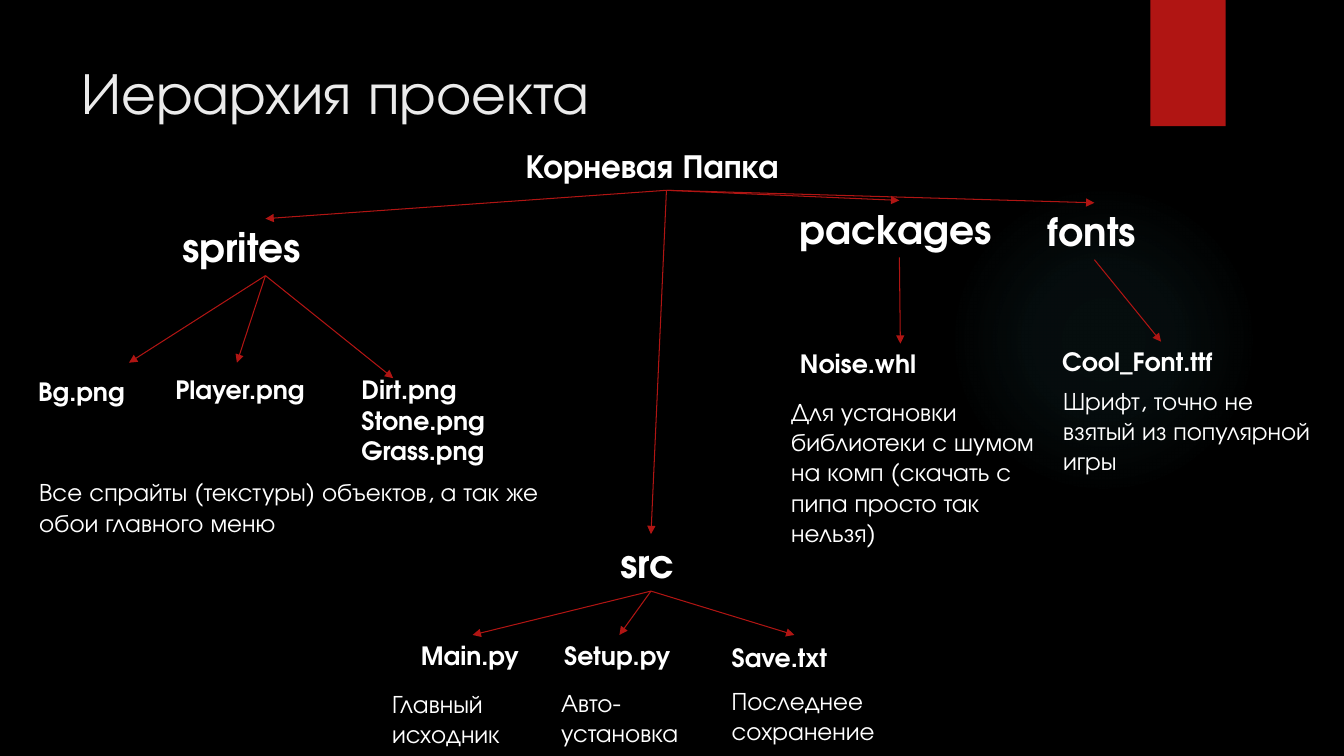
import pptx
import pptx.util
import pptx.dml.color
import pptx.enum.shapes
import pptx.enum.text
import pptx.oxml
import pptx.oxml.ns
from dataclasses import dataclass
from pptx.util import Cm

TITLE = ("Иерархия проекта", 1.8, 1.27, 26.14, 3.89)
ROOT = ("Корневая Папка", 13.0, 3.53, 7.59)

FOLDERS = [
    ("sprites", 4.34, 5.51, 4.7, [
        (["Bg.png"], 0.71, 9.35, 3.45, (3.25, 9.14)),
        (["Player.png"], 4.17, 9.32, 4.7, (5.97, 9.14)),
        (["Dirt.png", "Stone.png", "Grass.png"], 8.86, 9.32, 5.84, (9.91, 9.53)),
    ]),
    ("packages", 19.91, 5.05, 5.51, [(["Noise.whl"], 19.91, 8.66, 5.51, (22.69, 8.66))]),
    ("fonts", 26.16, 5.11, 2.84, [(["Cool_Font.ttf"], 26.52, 8.61, 5.51, (29.26, 8.61))]),
    ("src", 15.39, 13.46, 2.03, [
        (["Main.py"], 10.36, 16.0, 3.1, None),
        (["Setup.py"], 13.97, 16.0, 3.28, None),
        (["Save.txt"], 18.19, 16.05, 3.07, (20.02, 16.0)),
    ]),
]

NOTES = [
    ("Все спрайты (текстуры) объектов, а так же обои главного меню", 0.74, 11.89, 13.23, 2),
    ("Для установки библиотеки с шумом на комп (скачать с пипа просто так нельзя)",
     19.69, 9.86, 7.14, 5),
    ("Шрифт, точно не взятый из популярной игры", 26.54, 9.58, 7.14, 3),
    ("Главный исходник", 9.63, 17.22, 3.86, 2),
    ("Авто-установка", 13.89, 17.2, 4.22, 2),
    ("Последнее сохранение", 18.19, 17.15, 5.38, 2),
]


@dataclass(frozen=True)
class Theme:
    font: str = "TeX Gyre Adventor"
    background: str = "000000"
    accent: str = "B01513"
    glow: str = "50B9C1"
    heading: str = "EBEBEB"
    text: str = "FFFFFF"
    title_size: int = 42
    root_size: int = 24
    folder_size: int = 28
    file_size: int = 18
    line_width: float = 0.75


theme = Theme()


def color(value):
    return pptx.dml.color.RGBColor.from_string(value)


def apply(target, values):
    for name, value in values.items():
        setattr(target, name, value)


def height_of(size, lines=1):
    return 0.25 + lines * size * 1.2 * 2.54 / 72


def add_text(lines, left, top, width, height, size, bold=False, ink=theme.text, grow=True):
    box = slide.shapes.add_textbox(Cm(left), Cm(top), Cm(width), Cm(height))
    fit = pptx.enum.text.MSO_AUTO_SIZE
    apply(box.text_frame, {
        "word_wrap": True,
        "auto_size": fit.SHAPE_TO_FIT_TEXT if grow else fit.NONE,
        "vertical_anchor": pptx.enum.text.MSO_ANCHOR.TOP,
    })
    for index, line in enumerate(lines):
        para = box.text_frame.add_paragraph() if index else box.text_frame.paragraphs[0]
        span = para.add_run()
        span.text = line
        apply(span.font, {"name": theme.font, "size": pptx.util.Pt(size), "bold": bold})
        span.font.color.rgb = color(ink)


def add_arrow(start, end):
    arrow = slide.shapes.add_connector(
        pptx.enum.shapes.MSO_CONNECTOR.STRAIGHT, *[Cm(value) for value in (*start, *end)])
    arrow.line.color.rgb = color(theme.accent)
    arrow.line.width = pptx.util.Pt(theme.line_width)
    head = pptx.oxml.parse_xml(
        f'<a:tailEnd {pptx.oxml.ns.nsdecls("a")} type="triangle"/>')
    arrow.line._get_or_add_ln().append(head)
    effects = pptx.oxml.parse_xml(f'<a:effectLst {pptx.oxml.ns.nsdecls("a")}/>')
    arrow._element.spPr.append(effects)


def add_shape(kind, left, top, width, height, fill):
    shape = slide.shapes.add_shape(kind, Cm(left), Cm(top), Cm(width), Cm(height))
    shape.shadow.inherit = False
    shape.fill.solid()
    shape.fill.fore_color.rgb = color(fill)
    shape.line.fill.background()
    return shape


def add_glow():
    glow = add_shape(pptx.enum.shapes.MSO_SHAPE.OVAL, 23.9, 4.65, 7.82, 7.82, theme.glow)
    stops = "".join(
        f'<a:gs pos="{place * 1000}"><a:srgbClr val="{theme.glow}">'
        f'<a:alpha val="{alpha * 1000}"/></a:srgbClr></a:gs>'
        for place, alpha in [(0, 7), (36, 6), (69, 0), (100, 0)])
    gradient = pptx.oxml.parse_xml(
        f'<a:gradFill {pptx.oxml.ns.nsdecls("a")}><a:gsLst>{stops}</a:gsLst>'
        '<a:path path="circle"><a:fillToRect l="50000" t="50000" r="50000" b="50000"/>'
        '</a:path></a:gradFill>')
    properties = glow._element.spPr
    properties.replace(properties.find(pptx.oxml.ns.qn("a:solidFill")), gradient)


deck = pptx.Presentation()
apply(deck, {"slide_width": Cm(33.87), "slide_height": Cm(19.05)})
slide = deck.slides.add_slide(deck.slide_layouts[6])
slide.background.fill.solid()
slide.background.fill.fore_color.rgb = color(theme.background)

add_glow()
add_shape(pptx.enum.shapes.MSO_SHAPE.RECTANGLE, 28.99, 0, 1.9, 3.18, theme.accent)

heading, *place = TITLE
add_text([heading], *place, theme.title_size, ink=theme.heading, grow=False)

name, left, top, width = ROOT
root_height = height_of(theme.root_size)
add_text([name], left, top, width, root_height, theme.root_size, bold=True)
root_foot = (left + width / 2, top + root_height)

folder_height = height_of(theme.folder_size)
for name, left, top, width, files in FOLDERS:
    middle = left + width / 2
    add_arrow(root_foot, (middle, top))
    add_text([name], left, top, width, folder_height, theme.folder_size, bold=True)
    for lines, file_left, file_top, file_width, tip in files:
        add_arrow((middle, top + folder_height),
                  tip or (file_left + file_width / 2, file_top))
        add_text(lines, file_left, file_top, file_width,
                 height_of(theme.file_size, len(lines)), theme.file_size, bold=True)

for note, left, top, width, rows in NOTES:
    add_text([note], left, top, width, height_of(theme.file_size, rows), theme.file_size)

deck.save("out.pptx")
